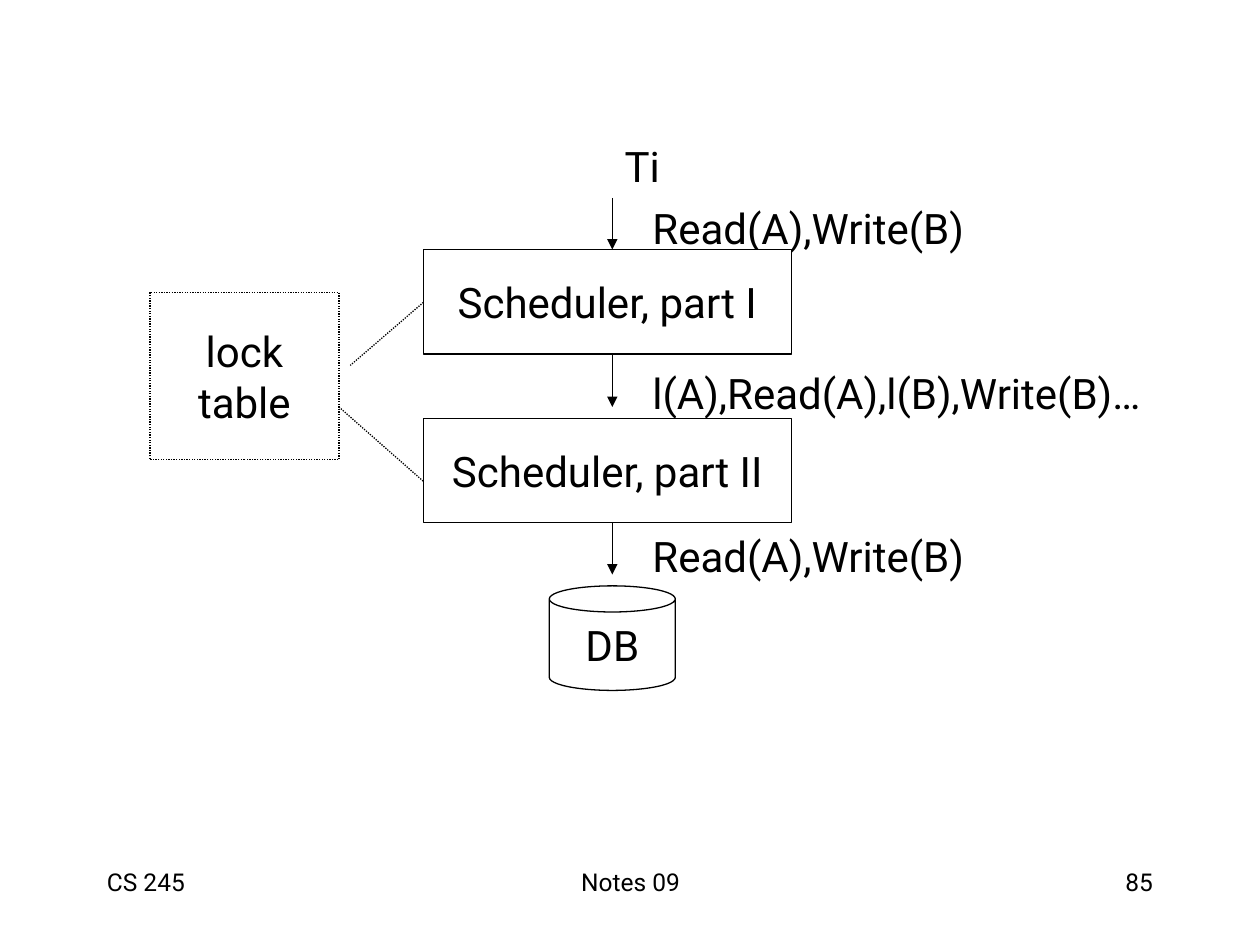
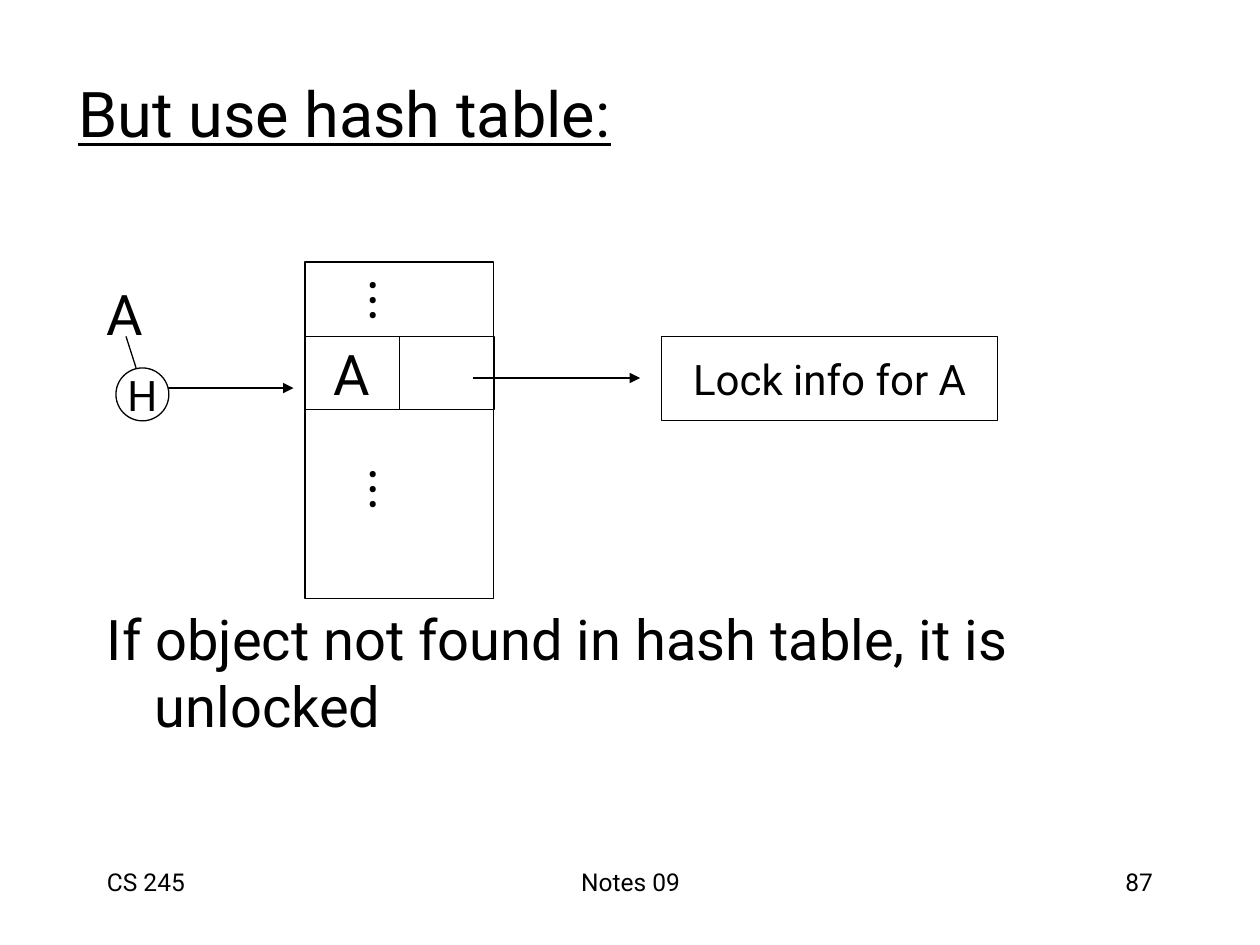
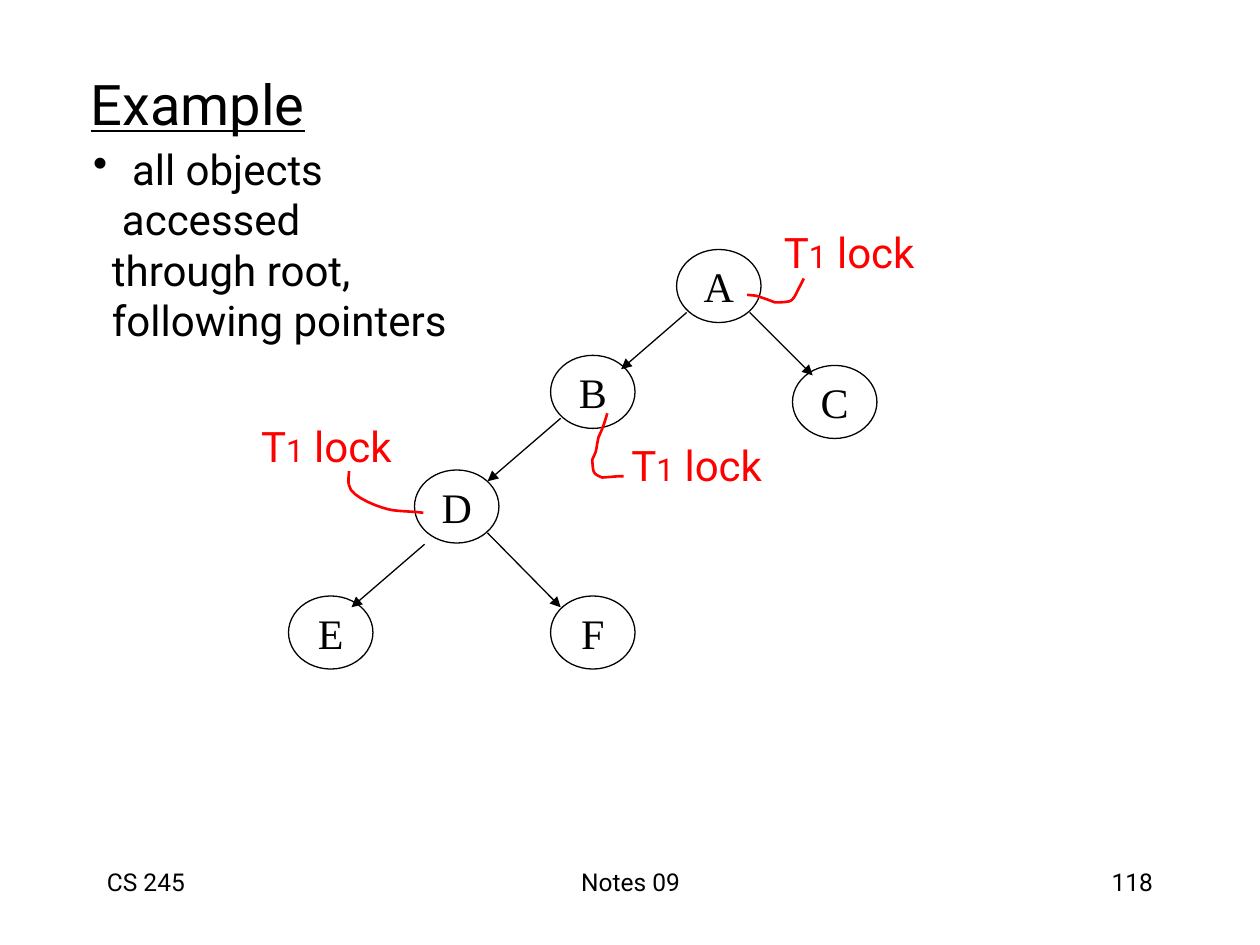
import itertools

import lxml.etree
import pptx
import pptx.dml.color
import pptx.enum.dml
import pptx.enum.shapes
import pptx.enum.text
import pptx.oxml.ns
import pptx.util

PX = 9144  # EMU in one px, at 100 px to the inch
BLACK = pptx.dml.color.RGBColor(0x00, 0x00, 0x00)
WHITE = pptx.dml.color.RGBColor(0xFF, 0xFF, 0xFF)
RED = pptx.dml.color.RGBColor(0xFF, 0x00, 0x00)
SANS = "Roboto"
SERIF = "Times New Roman"
HAIRLINE = pptx.util.Pt(0.75)
DOTTED = pptx.enum.dml.MSO_LINE.ROUND_DOT

Shape = pptx.enum.shapes.MSO_SHAPE
Align = pptx.enum.text.PP_ALIGN
Anchor = pptx.enum.text.MSO_ANCHOR
qn = pptx.oxml.ns.qn


def put_text(page, text, area, kind="text", size=24, font=SANS, color=BLACK,
             align=Align.LEFT, anchor=Anchor.TOP, wrap=False, underline=False,
             dash=None, margins=((0, 0),), bullet=None):
    """Write text into a text box, the title, or a new shape of the given kind.

    A line is a string or a list of (text, size) spans. Margins holds
    (left, first-line) indents in px, one pair per line; bullet marks line one.
    """
    area = [length * PX for length in area]
    if kind == "title":
        box = page.shapes.title
        box.left, box.top, box.width, box.height = area
    elif kind == "text":
        box = page.shapes.add_textbox(*area)
    else:
        box = page.shapes.add_shape(kind, *area)
        box.shadow.inherit = False
        box.fill.solid()
        box.fill.fore_color.rgb = WHITE
        box.line.color.rgb = BLACK
        box.line.width = HAIRLINE
        if dash:
            box.line.dash_style = dash
        align, anchor = Align.CENTER, Anchor.MIDDLE
    frame = box.text_frame
    frame.auto_size = pptx.enum.text.MSO_AUTO_SIZE.NONE
    frame.word_wrap = wrap
    frame.vertical_anchor = anchor
    lines = [text] if isinstance(text, str) else text
    for index, (line, margin) in enumerate(zip(lines, itertools.cycle(margins))):
        para = frame.add_paragraph() if index else frame.paragraphs[0]
        para.alignment = align
        properties = para._p.get_or_add_pPr()
        properties.set("marL", str(margin[0] * PX))
        properties.set("indent", str(margin[1] * PX))
        if bullet and index == 0:
            mark = lxml.etree.SubElement(properties, qn("a:buChar"))
            mark.set("char", bullet)
        for words, points in [(line, size)] if isinstance(line, str) else line:
            span = para.add_run()
            span.text = words
            span.font.name = font
            span.font.size = pptx.util.Pt(points)
            span.font.color.rgb = color
            span.font.underline = underline
    return box


def connect(page, start_x, start_y, end_x, end_y, arrow=True, dash=None):
    connector = page.shapes.add_connector(
        pptx.enum.shapes.MSO_CONNECTOR.STRAIGHT,
        start_x * PX, start_y * PX, end_x * PX, end_y * PX)
    connector.line.color.rgb = BLACK
    connector.line.width = HAIRLINE
    if dash:
        connector.line.dash_style = dash
    properties = connector._element.spPr
    if arrow:
        head = lxml.etree.SubElement(properties.find(qn("a:ln")), qn("a:tailEnd"))
        head.set("type", "triangle")
    lxml.etree.SubElement(properties, qn("a:effectLst"))


deck = pptx.Presentation()
deck.slide_width = 1000 * PX
deck.slide_height = 750 * PX
TITLE_ONLY, BLANK = deck.slide_layouts[5], deck.slide_layouts[6]

scheduler_page, hash_page, tree_page = [
    deck.slides.add_slide(layout) for layout in (BLANK, TITLE_ONLY, TITLE_ONLY)]
for page, number in ((scheduler_page, "85"), (hash_page, "87"), (tree_page, "118")):
    for text, left, width, align in (("CS 245", 75, 208, Align.LEFT),
                                     ("Notes 09", 342, 317, Align.CENTER),
                                     (number, 717, 208, Align.RIGHT)):
        put_text(page, text, (left, 683, width, 50), size=14, align=align, wrap=True)

# Scheduler in two parts
for text, left, top in (("Ti", 486, 107),
                        ("Read(A),Write(B)", 508, 156),
                        ("l(A),Read(A),l(B),Write(B)…", 508, 287),
                        ("Read(A),Write(B)", 508, 416)):
    put_text(scheduler_page, text, (left, top, 420, 50))
for text, top in (("Scheduler, part I", 198), ("Scheduler, part II", 332)):
    put_text(scheduler_page, text, (336, top, 292, 83), kind=Shape.RECTANGLE)
put_text(scheduler_page, "DB", (436, 465, 100, 83), kind=Shape.CAN)
put_text(scheduler_page, ["lock", "table"], (119, 232, 150, 133),
         kind=Shape.RECTANGLE, dash=DOTTED)
for top in (157, 282, 415):
    connect(scheduler_page, 486, top, 486, top + 41)
connect(scheduler_page, 336, 240, 278, 290, arrow=False, dash=DOTTED)
connect(scheduler_page, 269, 323, 336, 382, arrow=False, dash=DOTTED)

# Hash table
put_text(hash_page, "But use hash table:", (52, 37, 850, 105), kind="title",
         size=36, anchor=Anchor.MIDDLE, wrap=True, underline=True)
put_text(hash_page, "A", (75, 217, 60, 63), size=32)
put_text(hash_page, "If object not found in hash table, it is unlocked",
         (75, 475, 850, 120), size=32, wrap=True, margins=((38, -38),))
for text, area, size in (("Lock info for A", (525, 267, 267, 67), 24),
                         ("", (242, 208, 150, 59), 24),
                         ("A", (242, 267, 75, 58), 32),
                         ("", (317, 267, 75, 58), 24),
                         ("", (242, 325, 150, 150), 24)):
    put_text(hash_page, text, area, kind=Shape.RECTANGLE, size=size)
for top in (207, 357):
    dots = put_text(hash_page, "...", (281, top, 61, 64), size=32,
                    align=Align.CENTER, anchor=Anchor.MIDDLE)
    dots.rotation = 90
put_text(hash_page, "H", (92, 292, 42, 42), kind=Shape.OVAL)
connect(hash_page, 100, 267, 108, 292, arrow=False)
connect(hash_page, 133, 308, 233, 308)
connect(hash_page, 375, 300, 508, 300)

# Tree with locks
put_text(tree_page, "Example", (62, 50, 850, 79), kind="title",
         size=32, wrap=True, underline=True)
for name, left, top in (("A", 537, 198), ("B", 437, 282), ("C", 629, 290),
                        ("D", 329, 373), ("E", 229, 473), ("F", 437, 473)):
    put_text(tree_page, name, (left, top, 67, 58), kind=Shape.OVAL, font=SERIF)
for edge in ((545, 248, 493, 293), (445, 332, 387, 382), (337, 432, 279, 482),
             (387, 423, 445, 482), (595, 248, 645, 298)):
    connect(tree_page, *edge)
put_text(tree_page,
         ["all objects", "accessed", "through root,", "following pointers"],
         (64, 109, 347, 171), bullet="•",
         margins=((31, -31), (23, 0), (15, 0), (15, 0)))
for left, top in ((612, 175), (491, 344), (197, 329)):
    put_text(tree_page, [[("T", 24), ("1", 18), (" lock", 24)]],
             (left, top, 124, 50), color=RED, align=Align.CENTER,
             anchor=Anchor.MIDDLE)

# Each lock curve: a start point, then two control points and an end per piece
LOCK_CURVES = (
    ((593, 234), (602, 235), (598, 234), (607, 237), (610, 238), (615, 240),
     (615, 240), (619, 240), (623, 240), (627, 239), (631, 237), (633, 230),
     (635, 227), (637, 223), (636, 225), (638, 221)),
    ((482, 328), (480, 335), (478, 341), (475, 347), (472, 362), (474, 356),
     (470, 365), (471, 375), (470, 376), (478, 379), (493, 378), (488, 378),
     (495, 378)),
    ((336, 407), (328, 406), (320, 406), (312, 405), (304, 404), (278, 395),
     (277, 385), (276, 381), (277, 378), (277, 374)),
)
STEPS = 8
for curve in LOCK_CURVES:
    points = []
    for first in range(0, len(curve) - 1, 3):
        piece = curve[first:first + 4]
        for step in range(1, STEPS + 1):
            t = step / STEPS
            weights = ((1 - t) ** 3, 3 * t * (1 - t) ** 2, 3 * t * t * (1 - t), t ** 3)
            points.append([round(PX * sum(w * p[axis] for w, p in zip(weights, piece)))
                           for axis in (0, 1)])
    builder = tree_page.shapes.build_freeform(curve[0][0] * PX, curve[0][1] * PX)
    builder.add_line_segments(points, close=False)
    stroke = builder.convert_to_shape()
    stroke.shadow.inherit = False
    stroke.fill.background()
    stroke.line.color.rgb = RED
    stroke.line.width = pptx.util.Pt(1.5)

deck.save("out.pptx")
